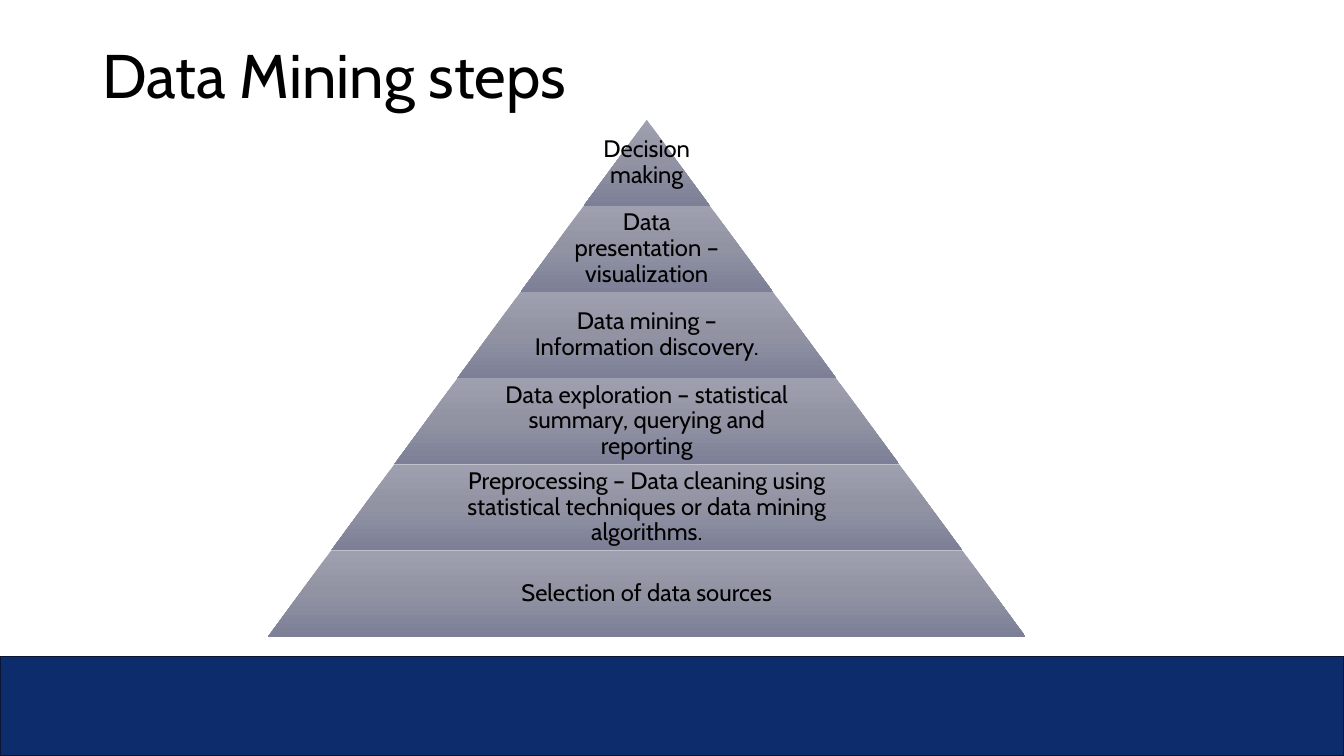
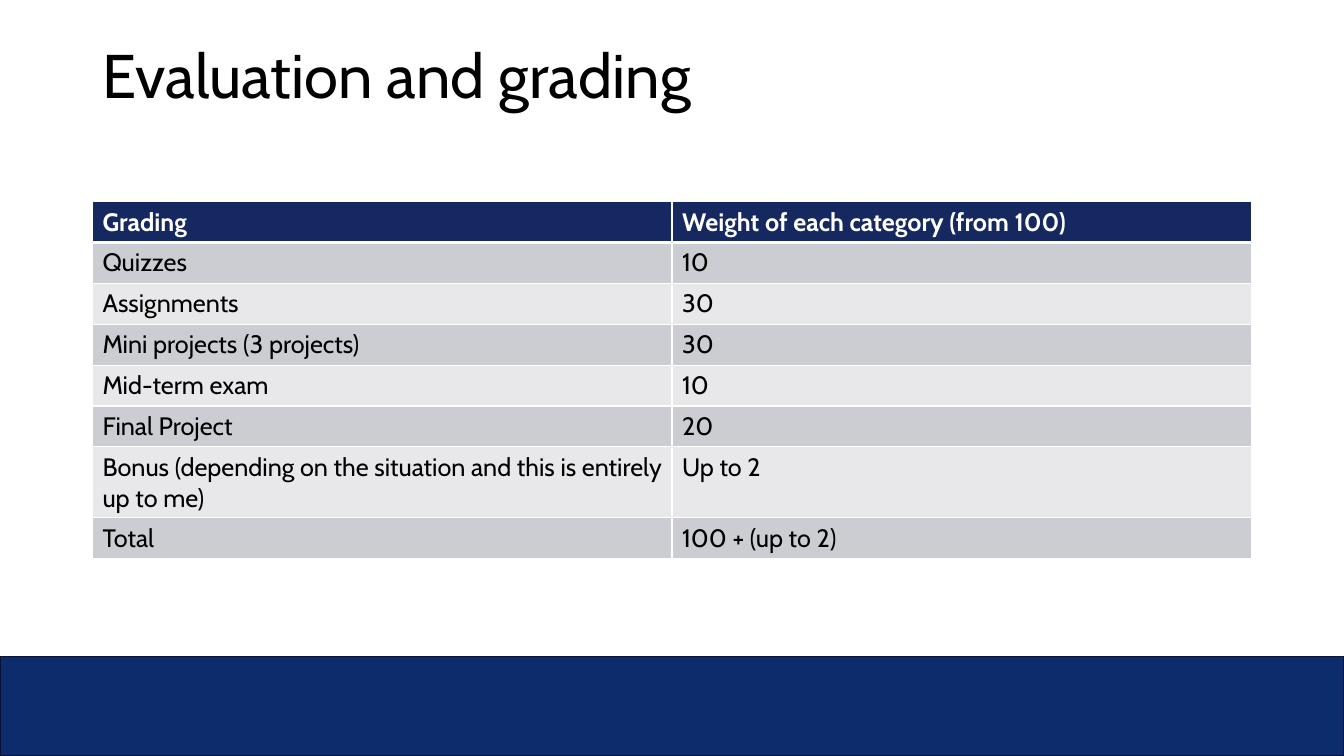
from copy import deepcopy
from dataclasses import dataclass

from lxml.etree import SubElement
from pptx import Presentation
from pptx.dml.color import RGBColor
from pptx.enum.shapes import MSO_SHAPE as Preset
from pptx.enum.text import MSO_ANCHOR as Anchor, PP_ALIGN as Align
from pptx.oxml.ns import qn
from pptx.presentation import Presentation as Deck
from pptx.slide import Slide
from pptx.table import _Cell as Cell
from pptx.text.text import TextFrame, _Paragraph as Paragraph
from pptx.util import Cm, Pt

FONT = "Cabin"
COLORS = {
    "text": "000000",
    "white": "FFFFFF",
    "band": "0D2C6C",
    "band_edge": "0B1430",
    "header": "162860",
    "row_dark": "CCCDD2",
    "row_light": "E8E8EA",
    "pyramid_top": "9EA0AF",
    "pyramid_middle": "9193A3",
    "pyramid_bottom": "7C7F96",
}
PAGE_WIDTH, PAGE_HEIGHT = 33.87, 19.05
BAND_HEIGHT = 2.5
CONTENT_LEFT, CONTENT_WIDTH = 2.33, 29.21

PYRAMID_CENTER, PYRAMID_TOP = 16.3, 3.02
LEVEL_HEIGHT, LEVEL_GROWTH = 2.17, 3.18
LEVEL_MARGIN = 0.06

TABLE_TOP, ROW_HEIGHT, TALL_ROW_HEIGHT = 5.08, 1.03, 1.79


@dataclass(frozen=True)
class Level:
    label: str
    text_share: float = 0.65


@dataclass(frozen=True)
class Grade:
    category: str
    weight: str
    height: float = ROW_HEIGHT


LEVELS = [
    Level("Decision making", 1),
    Level("Data presentation – visualization"),
    Level("Data mining – Information discovery."),
    Level("Data exploration – statistical summary, querying and reporting"),
    Level("Preprocessing – Data cleaning using statistical techniques or data mining algorithms."),
    Level("Selection of data sources"),
]

GRADES = [
    Grade("Grading", "Weight of each category (from 100)"),
    Grade("Quizzes", "10"),
    Grade("Assignments", "30"),
    Grade("Mini projects (3 projects)", "30"),
    Grade("Mid-term exam", "10"),
    Grade("Final Project", "20"),
    Grade("Bonus (depending on the situation and this is entirely up to me)", "Up to 2", TALL_ROW_HEIGHT),
    Grade("Total", "100 + (up to 2)"),
]


def color(name: str) -> RGBColor:
    return RGBColor.from_string(COLORS[name])


def write(frame: TextFrame, text: str, size: float, ink: str = "text", bold: bool = False) -> Paragraph:
    para = frame.paragraphs[0]
    para.text = text
    para.font.name = FONT
    para.font.size = Pt(size)
    para.font.bold = bold
    para.font.color.rgb = color(ink)
    return para


def add_text(page: Slide, left: float, top: float, width: float, height: float,
             text: str, size: float) -> TextFrame:
    box = page.shapes.add_textbox(Cm(left), Cm(top), Cm(width), Cm(height))
    frame = box.text_frame
    frame.word_wrap = True
    write(frame, text, size).line_spacing = 0.9
    return frame


def add_page(deck: Deck, title: str) -> Slide:
    page = deck.slides.add_slide(deck.slide_layouts[6])
    band = page.shapes.add_shape(
        Preset.RECTANGLE, 0, Cm(PAGE_HEIGHT - BAND_HEIGHT), Cm(PAGE_WIDTH), Cm(BAND_HEIGHT))
    band.shadow.inherit = False
    band.fill.solid()
    band.fill.fore_color.rgb = color("band")
    band.line.color.rgb = color("band_edge")
    band.line.width = Pt(1)
    add_text(page, CONTENT_LEFT, 1.02, CONTENT_WIDTH, 3.68, title, 44)
    return page


def add_level(page: Slide, index: int, level: Level) -> None:
    top = PYRAMID_TOP + index * LEVEL_HEIGHT
    width = (index + 1) * LEVEL_GROWTH
    slab = page.shapes.add_shape(
        Preset.TRAPEZOID, Cm(PYRAMID_CENTER - width / 2), Cm(top), Cm(width), Cm(LEVEL_HEIGHT))
    slab.adjustments[0] = LEVEL_GROWTH / 2 / LEVEL_HEIGHT
    slab.shadow.inherit = False
    slab.line.fill.background()
    slab.fill.gradient()
    slab.fill.gradient_angle = 270
    stops = slab._element.spPr.find(".//" + qn("a:gsLst"))
    stops.append(deepcopy(stops[-1]))
    shades = ("pyramid_top", "pyramid_middle", "pyramid_bottom")
    for position, (stop, shade) in enumerate(zip(slab.fill.gradient_stops, shades)):
        stop.position = position / 2
        stop.color.rgb = color(shade)

    text_width = width * level.text_share
    frame = add_text(page, PYRAMID_CENTER - text_width / 2, top, text_width, LEVEL_HEIGHT, level.label, 17)
    frame.margin_left = frame.margin_right = Cm(LEVEL_MARGIN)
    frame.margin_top = frame.margin_bottom = Cm(LEVEL_MARGIN)
    frame.vertical_anchor = Anchor.MIDDLE
    frame.paragraphs[0].alignment = Align.CENTER


def set_borders(cell: Cell, bottom: float, top: float) -> None:
    properties = cell._tc.get_or_add_tcPr()
    for tag, width in (("a:lnL", 1), ("a:lnR", 1), ("a:lnT", top), ("a:lnB", bottom)):
        line = SubElement(properties, qn(tag), w=str(Pt(width)))
        fill = SubElement(line, qn("a:solidFill"))
        SubElement(fill, qn("a:srgbClr"), val=COLORS["white"])


def add_grades(page: Slide, grades: list[Grade]) -> None:
    height = sum(grade.height for grade in grades)
    table = page.shapes.add_table(
        len(grades), 2, Cm(CONTENT_LEFT), Cm(TABLE_TOP), Cm(CONTENT_WIDTH), Cm(height)).table
    for index, grade in enumerate(grades):
        table.rows[index].height = Cm(grade.height)
        header = index == 0
        fill = "header" if header else "row_dark" if index % 2 else "row_light"
        for column, text in enumerate((grade.category, grade.weight)):
            cell = table.cell(index, column)
            set_borders(cell, bottom=3 if header else 1, top=3 if index == 1 else 1)
            cell.fill.solid()
            cell.fill.fore_color.rgb = color(fill)
            write(cell.text_frame, text, 18, "white" if header else "text", header)


def main() -> None:
    deck = Presentation()
    deck.slide_width, deck.slide_height = Cm(PAGE_WIDTH), Cm(PAGE_HEIGHT)

    steps = add_page(deck, "Data Mining steps")
    for index, level in enumerate(LEVELS):
        add_level(steps, index, level)

    add_grades(add_page(deck, "Evaluation and grading"), GRADES)
    deck.save("out.pptx")


if __name__ == "__main__":
    main()
